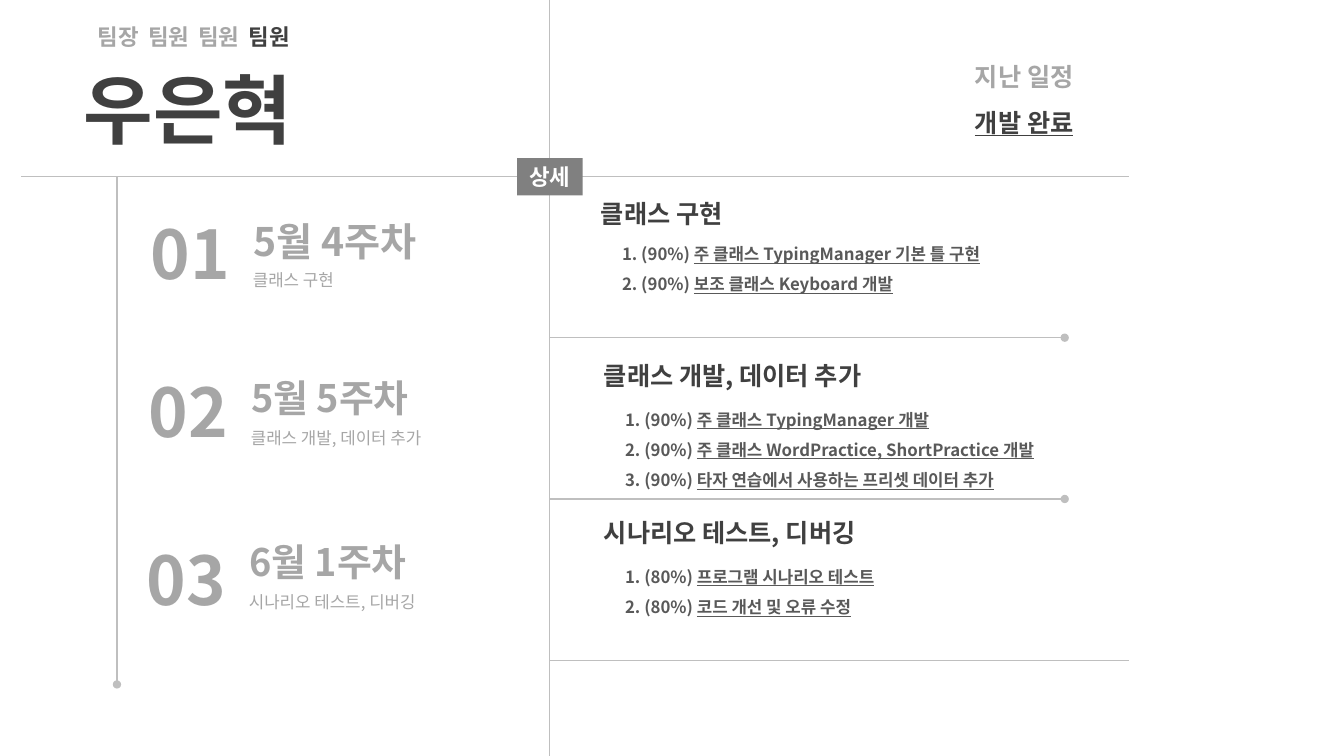
"""Build a team member's schedule slide with milestones and task details."""
from lxml.etree import SubElement
from pptx import Presentation
from pptx.dml.color import RGBColor
from pptx.enum.shapes import MSO_CONNECTOR, MSO_SHAPE
from pptx.enum.text import MSO_ANCHOR as Anchor, MSO_AUTO_SIZE as AutoSize, PP_ALIGN as Align
from pptx.oxml.ns import qn
from pptx.util import Emu, Pt

WHITE = RGBColor(0xFF, 0xFF, 0xFF)
RULE = RGBColor(0xBF, 0xBF, 0xBF)
MUTED = RGBColor(0xA6, 0xA6, 0xA6)
BADGE = RGBColor(0x80, 0x80, 0x80)
BODY = RGBColor(0x59, 0x59, 0x59)
DARK = RGBColor(0x40, 0x40, 0x40)
EMU_PER_PX = 9144
COMPARISON_LAYOUT = 4


def px(length):
    return Emu(length * EMU_PER_PX)


class ScheduleSlide:
    def __init__(self, deck, font="Noto Sans CJK KR"):
        self.slide = deck.slides.add_slide(deck.slide_layouts[COMPARISON_LAYOUT])
        self.shapes = self.slide.shapes
        self.font = font

    def frame(self, shape, margins=(10, 5), anchor=Anchor.TOP, fit=AutoSize.SHAPE_TO_FIT_TEXT):
        frame = shape.text_frame
        frame.word_wrap = True
        frame.auto_size = fit
        frame.vertical_anchor = anchor
        frame.margin_left = frame.margin_right = px(margins[0])
        frame.margin_top = frame.margin_bottom = px(margins[1])
        return frame

    def placeholder(self, index, box, **layout):
        holder = self.slide.placeholders[index]
        holder.left, holder.top, holder.width, holder.height = map(px, box)
        return self.frame(holder, **layout)

    def textbox(self, box, shapes=None, **layout):
        return self.frame((shapes or self.shapes).add_textbox(*map(px, box)), **layout)

    def paragraph(self, frame, runs, size, color, bold=True, align=Align.LEFT,
                  spacing=None, underline=None, font=None, tabs=()):
        first = frame.paragraphs[0]
        line = frame.add_paragraph() if first.runs else first
        line.alignment = align
        line.space_before = Pt(0)
        if spacing:
            line.line_spacing = spacing
        style = line.font
        style.size, style.bold, style.underline = Pt(size), bold, underline
        style.color.rgb = color
        style.name = font or self.font
        properties = line._p.pPr
        properties.set("marL", "0")
        properties.set("indent", "0")
        defaults = properties.find(qn("a:defRPr"))
        SubElement(defaults, qn("a:ea"), typeface=style.name)
        defaults.addprevious(defaults.makeelement(qn("a:buNone")))
        if tabs:
            stops = defaults.makeelement(qn("a:tabLst"))
            for stop in tabs:
                SubElement(stops, qn("a:tab"), pos=str(px(stop)), algn="l")
            defaults.addprevious(stops)
        added = []
        for text in runs:
            run = line.add_run()
            run.text = text
            added.append(run)
        return added

    def rule(self, x1, y1, x2, y2, dot=False):
        connector = self.shapes.add_connector(MSO_CONNECTOR.STRAIGHT, *map(px, (x1, y1, x2, y2)))
        connector.line.color.rgb = RULE
        connector.line.width = Pt(1)
        properties = connector._element.spPr
        if dot:
            SubElement(properties.find(qn("a:ln")), qn("a:tailEnd"), type="oval")
        SubElement(properties, qn("a:effectLst"))

    def badge(self, box, label):
        badge = self.shapes.add_shape(MSO_SHAPE.RECTANGLE, *map(px, box))
        badge.shadow.inherit = False
        badge.fill.solid()
        badge.fill.fore_color.rgb = BADGE
        badge.line.fill.background()
        frame = self.frame(badge, anchor=Anchor.MIDDLE, fit=AutoSize.NONE)
        self.paragraph(frame, [label], 16, WHITE, align=Align.CENTER, font="Arial")

    def milestone(self, number, left, number_top, week_top, week, week_size, topic):
        group = self.shapes.add_group_shape().shapes
        topic_frame = self.textbox((left + 105, week_top + 52, 493, 30), group)
        self.paragraph(topic_frame, [topic], 12, MUTED, bold=False)
        week_frame = self.textbox((left + 103, week_top, 493, 57), group, margins=(12, 5))
        self.paragraph(week_frame, [week], week_size, MUTED)
        number_frame = self.textbox((left, number_top, 105, 91), group, margins=(12, 5))
        self.paragraph(number_frame, [f"{number:02}"], 48, MUTED, align=Align.CENTER)

    def detail(self, index, heading_at, heading, list_box, progress, tasks):
        heading_frame = self.textbox((*heading_at, 493, 40), margins=(12, 5))
        self.paragraph(heading_frame, [heading], 18, DARK)
        task_frame = self.placeholder(index, list_box)
        for number, task in enumerate(tasks, 1):
            runs = [f"{number}. ({progress}%) ", task]
            self.paragraph(task_frame, runs, 12, BODY, spacing=1.5)[1].font.underline = True


def main():
    deck = Presentation()
    deck.slide_width, deck.slide_height = px(1333), px(750)
    page = ScheduleSlide(deck)

    page.rule(21, 175, 1120, 175)
    page.rule(545, 0, 545, 750)
    page.rule(116, 175, 116, 679, dot=True)
    for divider in (335, 495):
        page.rule(546, divider, 1056, divider, dot=True)
    page.rule(546, 655, 1120, 655)
    page.badge((513, 157, 65, 37), "상세")

    member = page.placeholder(0, (73, 57, 289, 101), anchor=Anchor.MIDDLE)
    page.paragraph(member, ["우은혁"], 54, DARK)
    roles = page.textbox((87, 18, 239, 37), anchor=Anchor.MIDDLE)
    role_runs = page.paragraph(roles, ["팀장\t팀원\t팀원\t", "팀원"], 16, MUTED,
                               tabs=[53 * step for step in (1, 2, 3)])
    role_runs[-1].font.color.rgb = DARK

    status = page.placeholder(4, (955, 41, 141, 95), margins=(12, 5))
    page.paragraph(status, ["지난 일정"], 18, MUTED, spacing=1.5)
    page.paragraph(status, ["개발 완료"], 18, DARK, spacing=1.5, underline=True)

    topics = ["클래스 구현", "클래스 개발, 데이터 추가", "시나리오 테스트, 디버깅"]
    milestones = [
        (136, 206, 211, "5월 4주차", 28),
        (134, 362, 367, "5월 5주차", 27),
        (132, 529, 530, "6월 1주차", 27),
    ]
    details = [
        ((584, 192), (607, 227, 414, 67), 90,
         ["주 클래스 TypingManager 기본 틀 구현", "보조 클래스 Keyboard 개발"]),
        ((587, 353), (610, 391, 549, 97), 90,
         ["주 클래스 TypingManager 개발", "주 클래스 WordPractice, ShortPractice 개발",
          "타자 연습에서 사용하는 프리셋 데이터 추가"]),
        ((587, 508), (610, 547, 487, 67), 80,
         ["프로그램 시나리오 테스트", "코드 개선 및 오류 수정"]),
    ]
    for number, (topic, milestone, detail) in enumerate(zip(topics, milestones, details), 1):
        page.milestone(number, *milestone, topic)
        heading_at, list_box, progress, tasks = detail
        page.detail(number, heading_at, topic, list_box, progress, tasks)

    deck.save("out.pptx")


if __name__ == "__main__":
    main()
